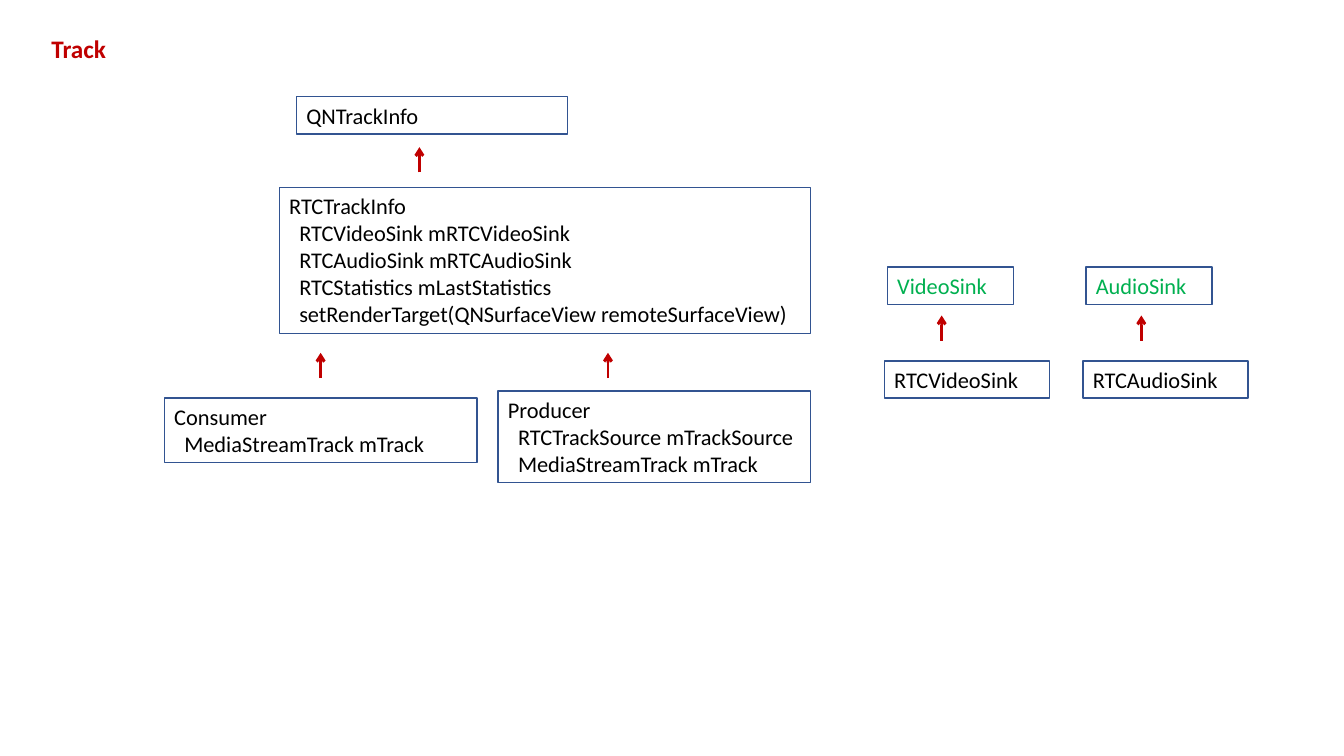
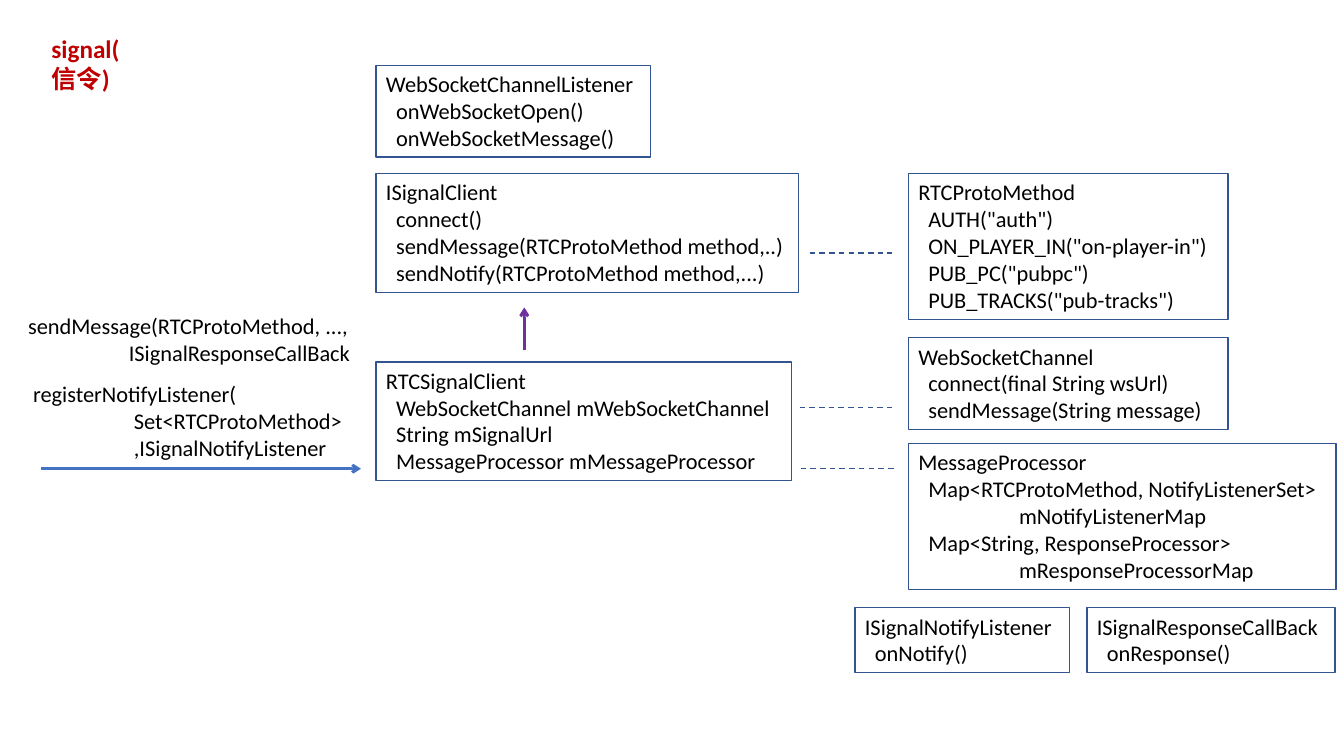
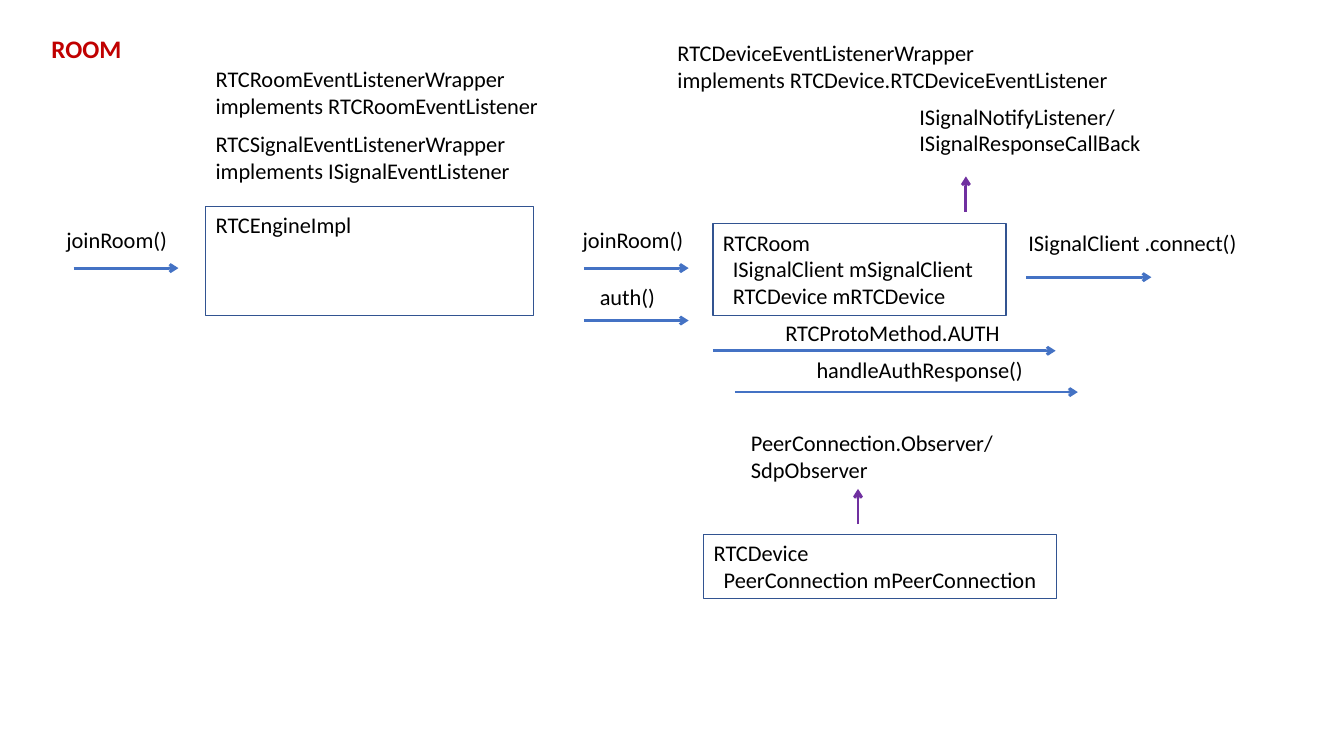
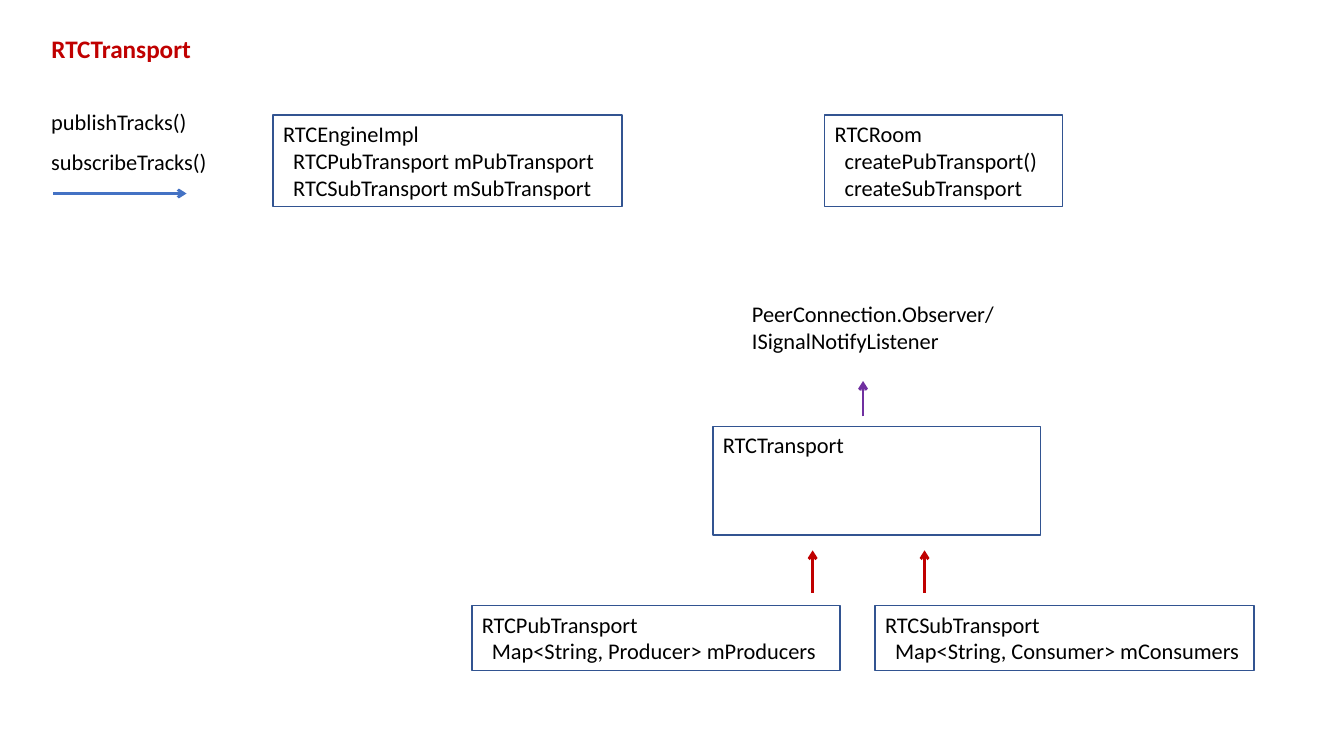
from itertools import cycle

from lxml import etree
from pptx import Presentation
from pptx.dml.color import RGBColor
from pptx.enum.dml import MSO_LINE
from pptx.enum.shapes import MSO_CONNECTOR, MSO_SHAPE
from pptx.enum.text import MSO_ANCHOR, MSO_AUTO_SIZE, PP_ALIGN
from pptx.oxml.ns import qn
from pptx.util import Pt

RECT, STRAIGHT = MSO_SHAPE.RECTANGLE, MSO_CONNECTOR.STRAIGHT
TOP, LEFT, NO_FIT = MSO_ANCHOR.TOP, PP_ALIGN.LEFT, MSO_AUTO_SIZE.NONE
DASH = MSO_LINE.DASH

PX = 9144  # 100 px to the inch
FONT = "Calibri"
BLACK = RGBColor(0x00, 0x00, 0x00)
RED = RGBColor(0xC0, 0x00, 0x00)
GREEN = RGBColor(0x00, 0xB0, 0x50)
PURPLE = RGBColor(0x70, 0x30, 0xA0)
BLUE = RGBColor(0x44, 0x72, 0xC4)
NAVY = RGBColor(0x32, 0x54, 0x91)


def add_text(s, x, y, w, *lines, h=None, sp=None, border=None, size=16,
             color=BLACK, bold=False, indents=(0,)):
    """Write lines into sp, a bordered box or a label; indents repeat after line one."""
    h = h or 10 + 27 * len(lines)
    at = [v * PX for v in (x, y, w, h)]
    if sp is not None:
        sp.left, sp.top, sp.width, sp.height = at
    elif border is not None:
        sp = s.shapes.add_shape(RECT, *at)
        sp.shadow.inherit = False
        sp.fill.background()
        sp.line.color.rgb = border
        sp.line.width = Pt(1)
    else:
        sp = s.shapes.add_textbox(*at)
    tf = sp.text_frame
    tf.word_wrap = True
    tf.auto_size = NO_FIT
    tf.vertical_anchor = TOP
    indent = cycle(indents)
    for i, line in enumerate(lines):
        p = tf.add_paragraph() if i else tf.paragraphs[0]
        p.alignment = LEFT
        if i:
            p._p.get_or_add_pPr().set("marL", str(next(indent) * PX))
        r = p.add_run()
        r.text = line
        r.font.name, r.font.size = FONT, Pt(size)
        r.font.bold, r.font.color.rgb = bold, color


def add_line(s, x1, y1, x2, y2, color, dashed=False):
    """Draw an arrow, or a thin dashed link without a head."""
    c = s.shapes.add_connector(STRAIGHT, *[v * PX for v in (x1, y1, x2, y2)])
    c.line.color.rgb = color
    c.line.width = Pt(1 if dashed else 2)
    if dashed:
        c.line.dash_style = DASH
    else:
        etree.SubElement(c.line._get_or_add_ln(), qn("a:tailEnd"), type="arrow")
    etree.SubElement(c._element.spPr, qn("a:effectLst"))


prs = Presentation()
prs.slide_width, prs.slide_height = 1333 * PX, 750 * PX
title_only = prs.slide_layouts[5]
box = {"border": NAVY, "indents": (10,)}

for title, w, h in (("Track", 82, 40), ("signal(信令)", 92, 71),
                    ("ROOM", 92, 40), ("RTCTransport", 165, 40)):
    s = prs.slides.add_slide(title_only)
    add_text(s, 41, 28, w, title, h=h, sp=s.shapes.title,
             size=18, color=RED, bold=True)
track, signal, room, transport = prs.slides

# Track
s = track
add_text(s, 294, 96, 269, "QNTrackInfo", **box)
add_text(s, 277, 186, 527, "RTCTrackInfo", "RTCVideoSink mRTCVideoSink",
         "RTCAudioSink mRTCAudioSink", "RTCStatistics mLastStatistics",
         "setRenderTarget(QNSurfaceView remoteSurfaceView)", **box)
add_text(s, 163, 395, 310, "Consumer", "MediaStreamTrack mTrack", **box)
add_text(s, 494, 388, 310, "Producer", "RTCTrackSource mTrackSource",
         "MediaStreamTrack mTrack", **box)
for x, sink in ((877, "VideoSink"), (1074, "AudioSink")):
    add_text(s, x, 358, 164, "RTC" + sink, **box)
    add_text(s, x + 3, 265, 125, sink, color=GREEN, **box)
for x, y in ((416, 171), (318, 375), (603, 375), (934, 338), (1132, 338)):
    add_line(s, x, y, x, y - 25, RED)

# Signal
s = signal
add_text(s, 373, 65, 272, "WebSocketChannelListener", "onWebSocketOpen()",
         "onWebSocketMessage()", **box)
add_text(s, 373, 172, 419, "ISignalClient", "connect()",
         "sendMessage(RTCProtoMethod method,..)",
         "sendNotify(RTCProtoMethod method,...)", **box)
add_text(s, 373, 359, 412, "RTCSignalClient",
         "WebSocketChannel mWebSocketChannel", "String mSignalUrl",
         "MessageProcessor mMessageProcessor", **box)
add_text(s, 901, 172, 317, "RTCProtoMethod", 'AUTH("auth")',
         'ON_PLAYER_IN("on-player-in")', 'PUB_PC("pubpc")',
         'PUB_TRACKS("pub-tracks")', **box)
add_text(s, 901, 335, 317, "WebSocketChannel", "connect(final String wsUrl)",
         "sendMessage(String message)", **box)
add_text(s, 901, 440, 424, "MessageProcessor",
         "Map<RTCProtoMethod, NotifyListenerSet>", "mNotifyListenerMap",
         "Map<String, ResponseProcessor>", "mResponseProcessorMap",
         border=NAVY, indents=(10, 100))
add_text(s, 848, 603, 213, "ISignalNotifyListener", "onNotify()", **box)
add_text(s, 1078, 603, 246, "ISignalResponseCallBack", "onResponse()", **box)
add_text(s, 18, 305, 357, "sendMessage(RTCProtoMethod, ...,",
         "ISignalResponseCallBack", indents=(100,))
add_text(s, 23, 372, 351, "registerNotifyListener(", "Set<RTCProtoMethod>",
         ",ISignalNotifyListener", indents=(100,))
for x1, x2, y in ((803, 885, 251), (793, 885, 404), (794, 890, 465)):
    add_line(s, x1, y, x2, y, NAVY, dashed=True)
add_line(s, 520, 347, 520, 305, PURPLE)
add_line(s, 41, 465, 358, 465, BLUE)

# Room
s = room
add_text(s, 204, 205, 325, "RTCEngineImpl", h=108, **box)
add_text(s, 707, 222, 291, "RTCRoom", "ISignalClient mSignalClient",
         "RTCDevice mRTCDevice", **box)
add_text(s, 698, 530, 350, "RTCDevice", "PeerConnection mPeerConnection", **box)
for x, y, w, *lines in (
    (204, 60, 351, "RTCRoomEventListenerWrapper", "implements RTCRoomEventListener"),
    (204, 124, 316, "RTCSignalEventListenerWrapper", "implements ISignalEventListener"),
    (662, 34, 451, "RTCDeviceEventListenerWrapper",
     "implements RTCDevice.RTCDeviceEventListener"),
    (902, 97, 278, "ISignalNotifyListener/", "ISignalResponseCallBack"),
    (735, 421, 266, "PeerConnection.Observer/", "SdpObserver"),
    (56, 219, 121, "joinRoom()"),
    (568, 219, 130, "joinRoom()"),
    (585, 276, 92, "auth()"),
    (1010, 222, 229, "ISignalClient .connect()"),
    (769, 312, 236, "RTCProtoMethod.AUTH"),
    (800, 348, 231, "handleAuthResponse()"),
):
    add_text(s, x, y, w, *lines)
for x, y, w in ((73, 266, 104), (579, 266, 104), (579, 318, 104),
                (1018, 275, 124), (707, 348, 340), (729, 389, 340)):
    add_line(s, x, y, x + w, y, BLUE)
for x, y in ((958, 210), (851, 520)):
    add_line(s, x, y, x, y - 35, PURPLE)

# Transport
s = transport
add_text(s, 271, 114, 346, "RTCEngineImpl", "RTCPubTransport mPubTransport",
         "RTCSubTransport mSubTransport", **box)
add_text(s, 818, 114, 236, "RTCRoom", "createPubTransport()",
         "createSubTransport", **box)
add_text(s, 707, 423, 325, "RTCTransport", h=108, **box)
add_text(s, 468, 601, 365, "RTCPubTransport",
         "Map<String, Producer> mProducers", **box)
add_text(s, 868, 601, 376, "RTCSubTransport",
         "Map<String, Consumer> mConsumers", **box)
add_text(s, 736, 293, 267, "PeerConnection.Observer/", "ISignalNotifyListener")
add_text(s, 41, 102, 185, "publishTracks()")
add_text(s, 41, 142, 181, "subscribeTracks()")
add_line(s, 53, 192, 185, 192, BLUE)
add_line(s, 856, 413, 856, 378, PURPLE)
for x in (806, 917):
    add_line(s, x, 588, x, 546, RED)

prs.save("out.pptx")
